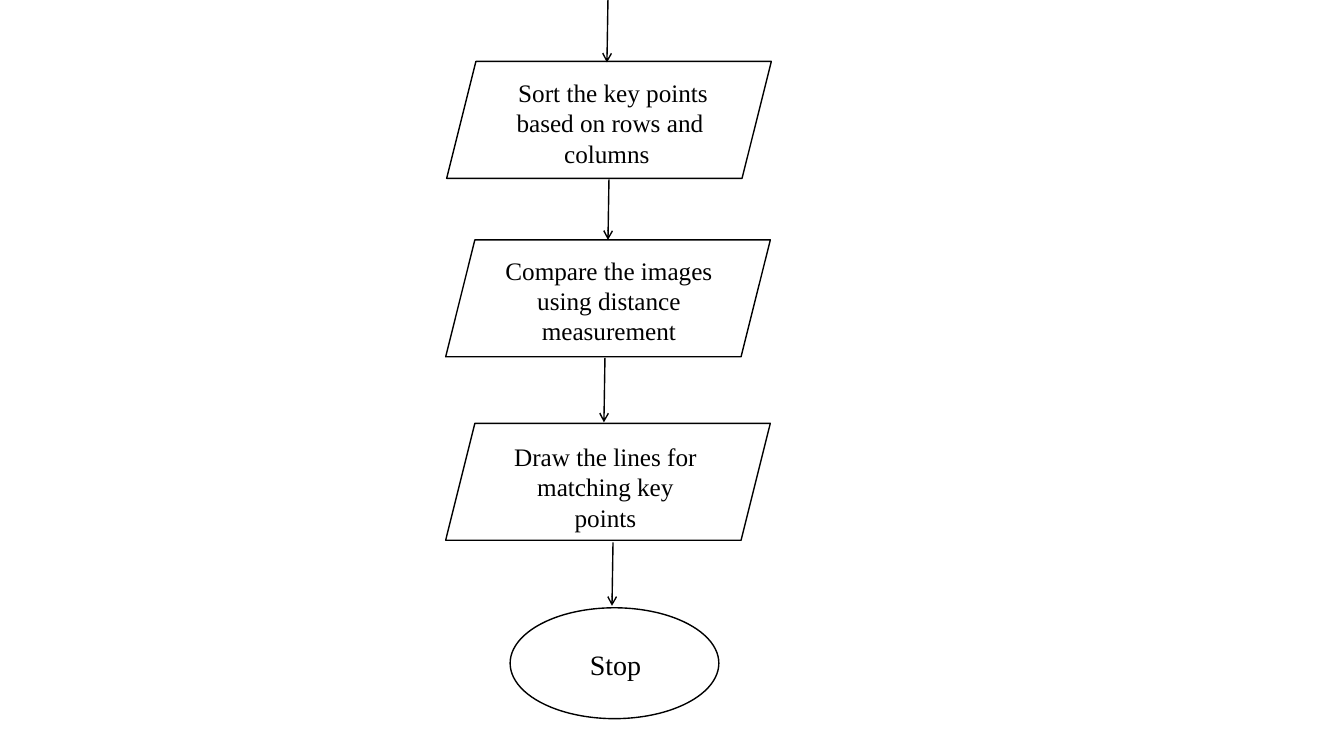
from dataclasses import dataclass

from pptx import Presentation
from pptx.dml.color import RGBColor
from pptx.enum.shapes import MSO_CONNECTOR, MSO_SHAPE
from pptx.enum.text import MSO_AUTO_SIZE, PP_ALIGN
from pptx.oxml.ns import qn
from pptx.slide import Slide
from pptx.util import Inches, Pt
from lxml.etree import SubElement

FONT = "Times New Roman"
INK = "000000"
PAPER = "FFFFFF"
LINE_WIDTH = 1


@dataclass(frozen=True)
class Box:
    left: float
    top: float
    width: float
    height: float

    def lengths(self) -> list[int]:
        return [Inches(v) for v in (self.left, self.top, self.width, self.height)]


@dataclass(frozen=True)
class Step:
    outline: MSO_SHAPE
    frame: Box
    label: str
    label_box: Box
    size: int = 18


@dataclass(frozen=True)
class Arrow:
    x: float
    top: float
    bottom: float
    lean: float = 0.01  # every arrow drifts slightly to the left


STEPS = [
    Step(MSO_SHAPE.PARALLELOGRAM, Box(4.43, 0.61, 3.22, 1.16),
         " Sort the key points based on rows and columns ",
         Box(4.93, 0.72, 2.24, 1.01)),
    Step(MSO_SHAPE.PARALLELOGRAM, Box(4.42, 2.38, 3.22, 1.16),
         "Compare the images using distance measurement",
         Box(4.9, 2.48, 2.28, 1.01)),
    Step(MSO_SHAPE.PARALLELOGRAM, Box(4.42, 4.2, 3.22, 1.16),
         "Draw the lines for matching key points",
         Box(4.97, 4.33, 2.07, 1.01)),
    Step(MSO_SHAPE.OVAL, Box(5.06, 6.03, 2.07, 1.1),
         "Stop", Box(5.57, 6.37, 1.07, 0.44), 20),
]

ARROWS = [
    Arrow(6.03, -0.01, 0.62),
    Arrow(6.04, 1.78, 2.38),
    Arrow(6.0, 3.55, 4.19),
    Arrow(6.08, 5.38, 6.01),
]


def color(value: str) -> RGBColor:
    return RGBColor.from_string(value)


def draw_outline(slide: Slide, step: Step) -> None:
    outline = slide.shapes.add_shape(step.outline, *step.frame.lengths())
    outline.shadow.inherit = False
    outline.fill.solid()
    outline.fill.fore_color.rgb = color(PAPER)
    outline.line.color.rgb = color(INK)
    outline.line.width = Pt(LINE_WIDTH)


def draw_arrow(slide: Slide, arrow: Arrow) -> None:
    connector = slide.shapes.add_connector(
        MSO_CONNECTOR.STRAIGHT,
        Inches(arrow.x), Inches(arrow.top),
        Inches(arrow.x - arrow.lean), Inches(arrow.bottom))
    connector.line.color.rgb = color(INK)
    connector.line.width = Pt(LINE_WIDTH)
    properties = connector.element.spPr
    SubElement(properties.find(qn("a:ln")), qn("a:tailEnd"), type="arrow")
    SubElement(properties, qn("a:effectLst"))


def draw_label(slide: Slide, step: Step) -> None:
    frame = slide.shapes.add_textbox(*step.label_box.lengths()).text_frame
    frame.word_wrap = True
    frame.auto_size = MSO_AUTO_SIZE.SHAPE_TO_FIT_TEXT
    paragraph = frame.paragraphs[0]
    paragraph.alignment = PP_ALIGN.CENTER
    run = paragraph.add_run()
    run.text = step.label
    run.font.name = FONT
    run.font.size = Pt(step.size)
    run.font.color.rgb = color(INK)


def main() -> None:
    deck = Presentation()
    deck.slide_width = Inches(13.33)
    deck.slide_height = Inches(7.5)
    slide = deck.slides.add_slide(deck.slide_layouts[6])

    # Outlines first, then arrows, with the wording on top
    for step in STEPS:
        draw_outline(slide, step)
    for arrow in ARROWS:
        draw_arrow(slide, arrow)
    for step in STEPS:
        draw_label(slide, step)

    deck.save("out.pptx")


if __name__ == "__main__":
    main()
